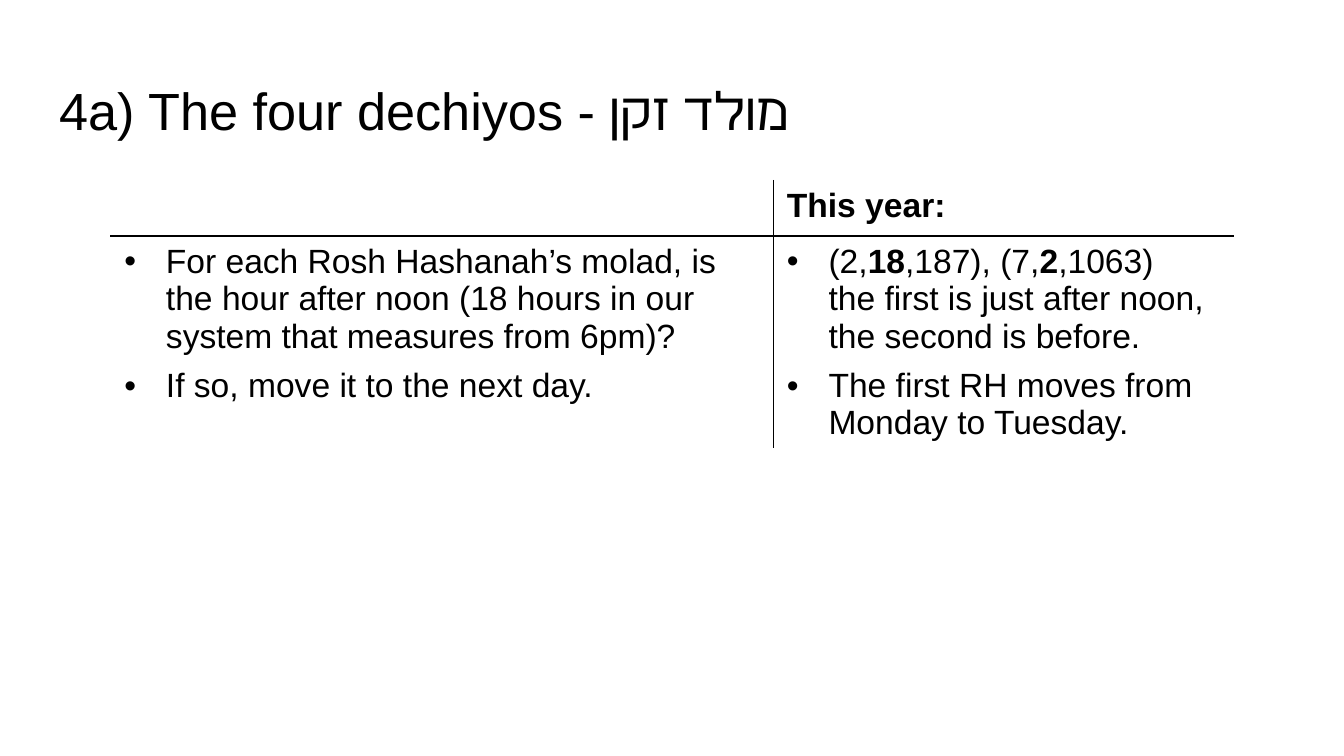
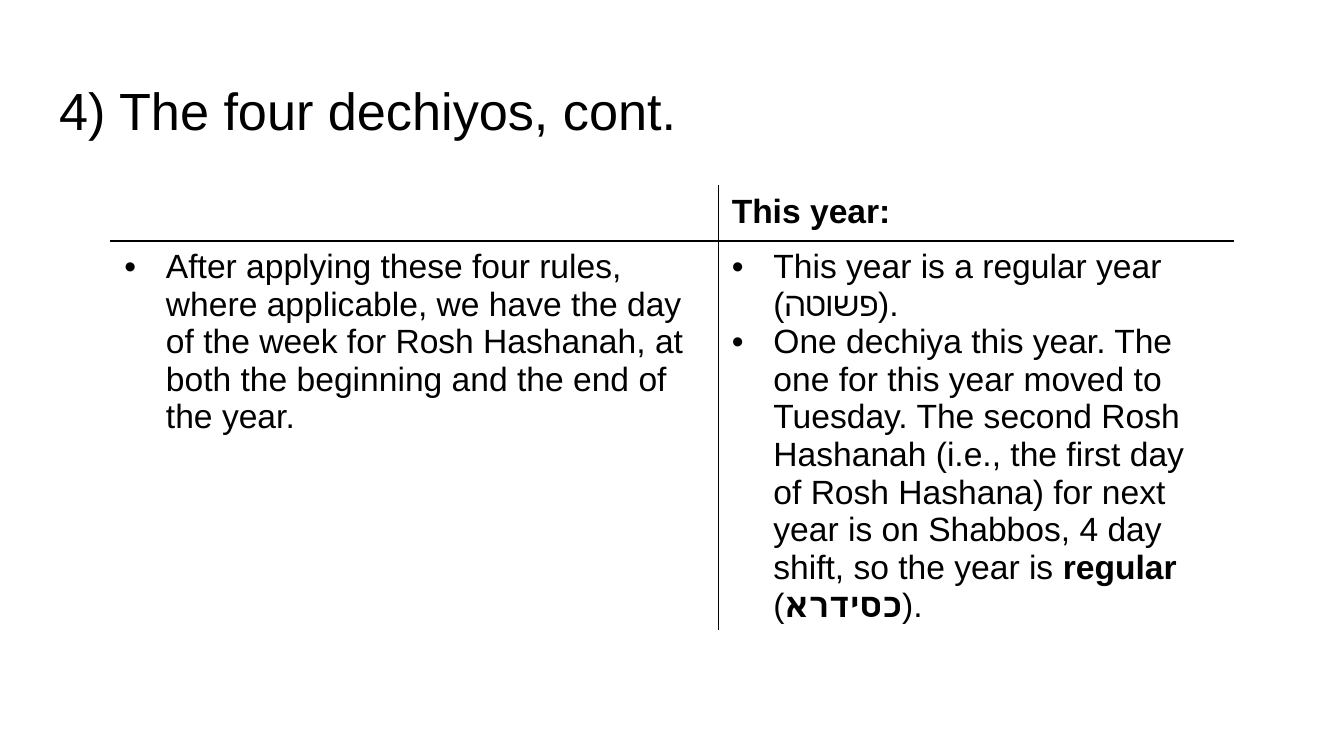
from dataclasses import dataclass

from lxml.etree import SubElement
from pptx import Presentation
from pptx.dml.color import RGBColor
from pptx.enum.text import MSO_ANCHOR, MSO_AUTO_SIZE, PP_ALIGN
from pptx.oxml import parse_xml
from pptx.oxml.ns import nsdecls, qn
from pptx.util import Emu, Pt


@dataclass(frozen=True)
class Theme:
    font: str = "Arial"
    ink: str = "000000"
    paper: str = "FFFFFF"
    title_size: int = 28
    body_size: int = 18
    rule_width: int = 1


THEME = Theme()
PX = 4572  # 200 px to the inch
BULLET_INDENT = 62 * PX
ROW_HEIGHT = 82  # the body row grows with its text
TABLE_LEFT = 165
HEADER = "This year:"


def write(frame, text, size=THEME.body_size, bold=False, bullet=False, gap=0):
    """Fill a frame, one paragraph per list item; ** switches bold on and off."""
    items = text if isinstance(text, list) else [text]
    for index, item in enumerate(items):
        para = frame.paragraphs[0] if index == 0 else frame.add_paragraph()
        para.alignment = PP_ALIGN.LEFT
        if bullet:
            props = para._p.get_or_add_pPr()
            props.set("marL", str(BULLET_INDENT))
            props.set("indent", str(-BULLET_INDENT))
            color = SubElement(props, qn("a:buClr"))
            SubElement(color, qn("a:srgbClr"), val=THEME.ink)
            SubElement(props, qn("a:buFont"), typeface=THEME.font)
            SubElement(props, qn("a:buChar"), char="•")
        para.space_before = Pt(gap if index else 0)
        para.font.size = Pt(size)
        for part, words in enumerate(item.split("**")):
            for row, line in enumerate(words.split("\n")):
                if row:
                    para.add_line_break()
                span = para.add_run()
                span.text = line
                span.font.name = THEME.font
                span.font.size = Pt(size)
                span.font.bold = bold or part % 2 == 1
                span.font.color.rgb = RGBColor.from_string(THEME.ink)


def style_cell(cell, **edges):
    """Paint a cell and rule the named edges; the others blend into the page."""
    cell.fill.solid()
    cell.fill.fore_color.rgb = RGBColor.from_string(THEME.paper)
    props = cell._tc.get_or_add_tcPr()
    for index, edge in enumerate(("L", "R", "T", "B")):
        color = THEME.ink if edges.get(edge) else THEME.paper
        props.insert(index, parse_xml(
            f'<a:ln{edge} {nsdecls("a")} w="{Pt(THEME.rule_width)}">'
            f'<a:solidFill><a:srgbClr val="{color}"/></a:solidFill></a:ln{edge}>'))


PAGES = [
    dict(
        title="4a) The four dechiyos - מולד זקן",
        top=269, columns=(986, 684), height=418, gap=6,
        rule=["For each Rosh Hashanah’s molad, is the hour after noon "
              "(18 hours in our system that measures from 6pm)?",
              "If so, move it to the next day."],
        this_year=["(2,**18**,187), (7,**2**,1063)\n"
                   "the first is just after noon, the second is before.",
                   "The first RH moves from Monday to Tuesday."],
    ),
    dict(
        title="4) The four dechiyos, cont.",
        top=277, columns=(904, 766), height=702, gap=0,
        rule=["After applying these four rules, where applicable, we have the day "
              "of the week for Rosh Hashanah, at both the beginning and the end "
              "of the year."],
        this_year=["This year is a regular year (פשוטה).",
                   "One dechiya this year. The one for this year moved to Tuesday. "
                   "The second Rosh Hashanah (i.e., the first day of Rosh Hashana) "
                   "for next year is on Shabbos, 4 day shift, so the year is "
                   "**regular** (**כסידרא**)."],
    ),
]

deck = Presentation()
deck.slide_width, deck.slide_height = Emu(2000 * PX), Emu(1125 * PX)

for content in PAGES:
    page = deck.slides.add_slide(deck.slide_layouts[5])

    # Title
    title = page.shapes.title
    title.left, title.top, title.width, title.height = (
        Emu(n * PX) for n in (68, 97, 1864, 125))
    frame = title.text_frame
    frame.word_wrap = True
    frame.auto_size = MSO_AUTO_SIZE.NONE
    frame.vertical_anchor = MSO_ANCHOR.TOP
    frame.margin_left = frame.margin_right = Emu(20 * PX)
    frame.margin_top = frame.margin_bottom = Emu(20 * PX)
    write(frame, content["title"], size=THEME.title_size)

    # Table grid
    height = Emu(content["height"] * PX)
    box = page.shapes.add_table(
        2, 2, Emu(TABLE_LEFT * PX), Emu(content["top"] * PX),
        Emu(sum(content["columns"]) * PX), height)
    table = box.table
    table.first_row = table.horz_banding = False
    for column, width in zip(table.columns, content["columns"]):
        column.width = Emu(width * PX)
    for row in table.rows:
        row.height = Emu(ROW_HEIGHT * PX)
    box.height = height

    # Only the inner edges are ruled
    for r in range(2):
        for c in range(2):
            cell = table.cell(r, c)
            style_cell(cell, L=c == 1, R=c == 0, T=r == 1, B=r == 0)
            cell.margin_left = cell.margin_right = Emu(20 * PX)
            cell.margin_top = cell.margin_bottom = Emu(10 * PX)

    # Table text
    write(table.cell(0, 1).text_frame, HEADER, bold=True)
    for c, key in enumerate(("rule", "this_year")):
        write(table.cell(1, c).text_frame, content[key], bullet=True, gap=content["gap"])

deck.save("out.pptx")
